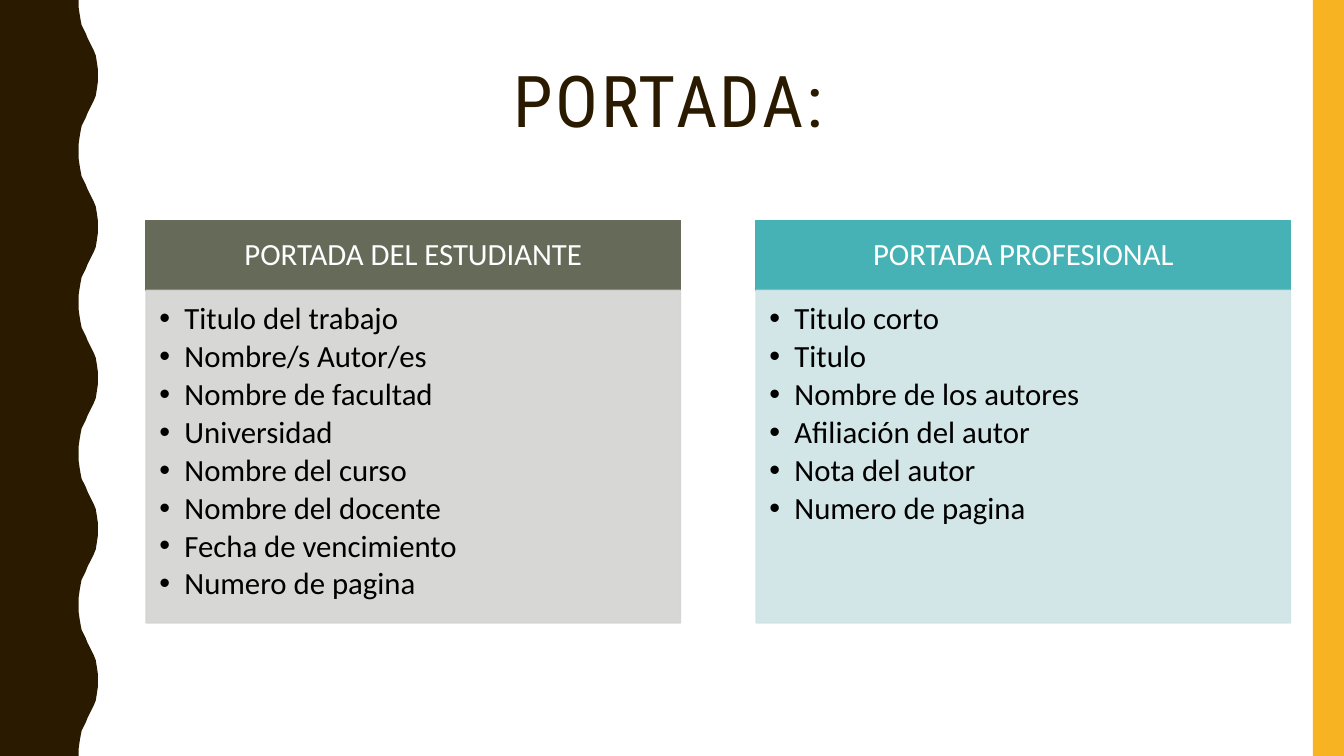
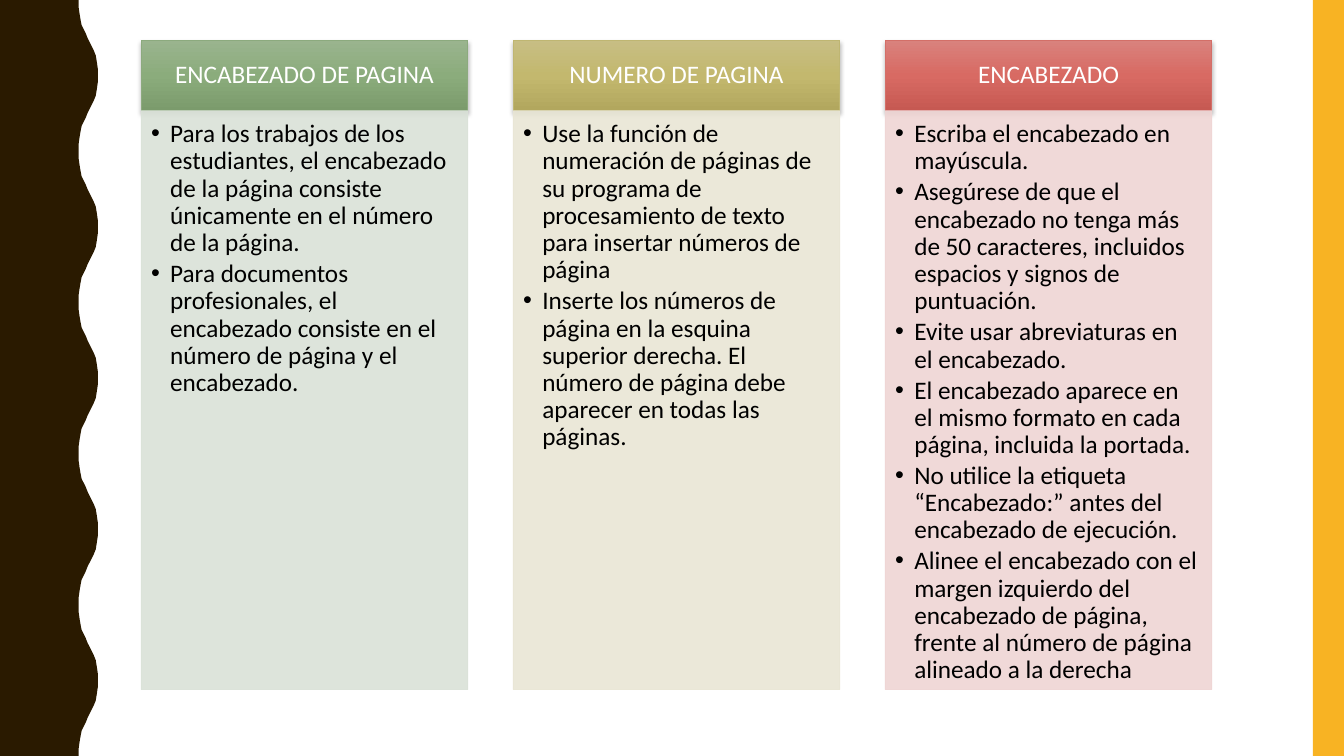
"""Build two slides of headed panels that explain cover pages and page headers."""
import copy
import dataclasses

import pptx
import pptx.dml.color
import pptx.enum.shapes
import pptx.enum.text
import pptx.oxml.ns
import pptx.util
from lxml import etree

Inches = pptx.util.Inches
Pt = pptx.util.Pt
RGBColor = pptx.dml.color.RGBColor
PP_ALIGN = pptx.enum.text.PP_ALIGN
MSO_ANCHOR = pptx.enum.text.MSO_ANCHOR
qn = pptx.oxml.ns.qn

BROWN = RGBColor(0x2A, 0x1A, 0x00)
AMBER = RGBColor(0xF8, 0xB3, 0x23)
WHITE = RGBColor(0xFF, 0xFF, 0xFF)
BLACK = RGBColor(0x00, 0x00, 0x00)
OLIVE = RGBColor(0x65, 0x6A, 0x59)
PALE_GREY = RGBColor(0xD3, 0xD4, 0xD1)
TEAL = RGBColor(0x46, 0xB2, 0xB5)
PALE_TEAL = RGBColor(0xCF, 0xE4, 0xE5)
GREEN = RGBColor(0x8C, 0xAA, 0x7E)
GREEN_STOPS = (RGBColor(0x9A, 0xB4, 0x8E), RGBColor(0x8B, 0xAC, 0x7C), RGBColor(0x7B, 0x9B, 0x6C))
PALE_GREEN = RGBColor(0xDA, 0xE2, 0xD8)
GOLD = RGBColor(0xBF, 0xB6, 0x72)
GOLD_STOPS = (RGBColor(0xC7, 0xBE, 0x84), RGBColor(0xC3, 0xB8, 0x6E), RGBColor(0xB2, 0xA7, 0x5E))
PALE_GOLD = RGBColor(0xE9, 0xE6, 0xD5)
RED = RGBColor(0xD3, 0x6F, 0x68)
RED_STOPS = (RGBColor(0xD9, 0x82, 0x7D), RGBColor(0xD8, 0x6A, 0x63), RGBColor(0xC6, 0x59, 0x52))
PALE_RED = RGBColor(0xEF, 0xD5, 0xD4)

TITLE_FONT = "Roboto Condensed"
BODY_FONT = "Calibri"
SLIDE_WIDTH, SLIDE_HEIGHT = 13.33, 7.5
STRIPE_WIDTH = 0.31
WAVE_PERIOD = 1.5
HALF_WAVE = [
    (0.78, 0), (0.78, 0.07), (0.79, 0.14), (0.8, 0.2), (0.81, 0.25), (0.83, 0.29),
    (0.85, 0.33), (0.87, 0.38), (0.89, 0.42), (0.91, 0.46), (0.93, 0.5),
    (0.95, 0.55), (0.96, 0.61), (0.97, 0.68), (0.97, 0.75),
]


@dataclasses.dataclass
class PanelLayout:
    """Measures shared by the panels of one slide, in inches and points."""
    left: float
    top: float
    width: float
    step: float
    header_height: float
    body_height: float
    size: int
    indent: float
    header_insets: tuple
    body_insets: tuple
    line_width: float


@dataclasses.dataclass
class Panel:
    """Heading, bullet items and colours of one panel."""
    heading: str
    items: list
    color: RGBColor
    body_color: RGBColor
    stops: tuple = ()


COVER_LAYOUT = PanelLayout(1.45, 2.19, 5.3, 6.05, 0.69, 3.3, 22, 0.25,
                           (0.17, 0.1, 0.17, 0.1), (0.13, 0.13, 0.17, 0.19), 1)
COVER_PANELS = [
    Panel("PORTADA DEL ESTUDIANTE", [
        "Titulo del trabajo", "Nombre/s Autor/es", "Nombre de facultad", "Universidad",
        "Nombre del curso", "Nombre del docente", "Fecha de vencimiento", "Numero de pagina",
    ], OLIVE, PALE_GREY),
    Panel("PORTADA PROFESIONAL", [
        "Titulo corto", "Titulo", "Nombre de los autores", "Afiliación del autor",
        "Nota del autor", "Numero de pagina",
    ], TEAL, PALE_TEAL),
]

HEADER_LAYOUT = PanelLayout(1.4, 0.4, 3.24, 3.69, 0.7, 5.74, 18, 0.19,
                            (0.14, 0.08, 0.14, 0.08), (0.1, 0.1, 0.14, 0.16), 0.5)
HEADER_PANELS = [
    Panel("ENCABEZADO DE PAGINA", [
        "Para los trabajos de los estudiantes, el encabezado de la página consiste "
        "únicamente en el número de la página.",
        "Para documentos profesionales, el encabezado consiste en el número de página "
        "y el encabezado.",
    ], GREEN, PALE_GREEN, GREEN_STOPS),
    Panel("NUMERO DE PAGINA", [
        "Use la función de numeración de páginas de su programa de procesamiento de texto "
        "para insertar números de página",
        "Inserte los números de página en la esquina superior derecha. El número de página "
        "debe aparecer en todas las páginas.",
    ], GOLD, PALE_GOLD, GOLD_STOPS),
    Panel("ENCABEZADO", [
        "Escriba el encabezado en mayúscula.",
        "Asegúrese de que el encabezado no tenga más de 50 caracteres, incluidos espacios "
        "y signos de puntuación.",
        "Evite usar abreviaturas en el encabezado.",
        "El encabezado aparece en el mismo formato en cada página, incluida la portada.",
        "No utilice la etiqueta “Encabezado:” antes del encabezado de ejecución.",
        "Alinee el encabezado con el margen izquierdo del encabezado de página, frente al "
        "número de página alineado a la derecha",
    ], RED, PALE_RED, RED_STOPS),
]


def add_element(parent, tag, **attributes):
    """Append a DrawingML element with the given attributes."""
    return etree.SubElement(parent, qn(tag), {key: str(value) for key, value in attributes.items()})


def paint(shape, color, line_width=0):
    """Give a shape a flat fill, an optional line and no shadow."""
    shape.shadow.inherit = False
    shape.fill.solid()
    shape.fill.fore_color.rgb = color
    if line_width:
        shape.line.color.rgb = color
        shape.line.width = Pt(line_width)
    else:
        shape.line.fill.background()


def add_rectangle(page, left, top, width, height, color, line_width=0):
    """Add a painted rectangle."""
    box = page.shapes.add_shape(pptx.enum.shapes.MSO_SHAPE.RECTANGLE, Inches(left), Inches(top),
                                Inches(width), Inches(height))
    paint(box, color, line_width)
    return box


def make_translucent(box, percent):
    """Set the opacity of the fill and line."""
    for color in box._element.spPr.iter(qn("a:srgbClr")):
        add_element(color, "a:alpha", val=percent * 1000)


def add_gradient(box, colors):
    """Fill a box from top to bottom with three evenly spaced colours."""
    box.fill.gradient()
    box.fill.gradient_angle = 270
    first = box._element.spPr.find(".//" + qn("a:gs"))
    middle = copy.deepcopy(first)
    middle.set("pos", "50000")
    first.addnext(middle)
    for stop, color in zip(box.fill.gradient_stops, colors):
        stop.color.rgb = color


def add_shadow(box):
    """Drop a soft shadow below a box."""
    effects = box._element.spPr.find(qn("a:effectLst"))
    shadow = add_element(effects, "a:outerShdw", blurRad=Pt(3), dist=Pt(2), dir=5400000,
                         algn="ctr", rotWithShape=0)
    color = add_element(shadow, "a:srgbClr", val=BLACK)
    add_element(color, "a:alpha", val=25000)


def set_frame(box, insets, anchor):
    """Set wrapping, insets and anchor, and return the text frame."""
    frame = box.text_frame
    frame.word_wrap = True
    frame.vertical_anchor = anchor
    frame.margin_left, frame.margin_top, frame.margin_right, frame.margin_bottom = map(Inches, insets)
    return frame


def write(para, text, font, size, color, align=PP_ALIGN.CENTER):
    """Write one run into a paragraph."""
    para.alignment = align
    para.line_spacing = 0.9
    span = para.add_run()
    span.text = text
    span.font.name = font
    span.font.size = Pt(size)
    span.font.color.rgb = color
    return span


def add_bullet(para, indent):
    """Give a paragraph a hanging bullet."""
    properties = para._p.get_or_add_pPr()
    properties.set("marL", str(Inches(indent)))
    properties.set("indent", str(-Inches(indent)))
    add_element(properties, "a:buFont", typeface="Arial")
    add_element(properties, "a:buChar", char="•")


def add_panel(page, layout, index, panel):
    """Add a header box with a body of bullets under it."""
    left = layout.left + index * layout.step
    header = add_rectangle(page, left, layout.top, layout.width, layout.header_height,
                           panel.color, layout.line_width)
    body = add_rectangle(page, left, layout.top + layout.header_height, layout.width,
                         layout.body_height, panel.body_color, layout.line_width)
    make_translucent(body, 90)
    if panel.stops:
        add_gradient(header, panel.stops)
        add_shadow(header)

    frame = set_frame(header, layout.header_insets, MSO_ANCHOR.MIDDLE)
    write(frame.paragraphs[0], panel.heading, BODY_FONT, layout.size, WHITE)

    frame = set_frame(body, layout.body_insets, MSO_ANCHOR.TOP)
    for number, item in enumerate(panel.items):
        para = frame.add_paragraph() if number else frame.paragraphs[0]
        write(para, item, BODY_FONT, layout.size, BLACK, PP_ALIGN.LEFT)
        para.space_after = Pt(0.15 * layout.size)
        add_bullet(para, layout.indent)


def add_wave(page):
    """Add the brown band with a wavy right edge."""
    period = HALF_WAVE + [(x, WAVE_PERIOD - y) for x, y in HALF_WAVE[-2:0:-1]]
    count = round(SLIDE_HEIGHT / WAVE_PERIOD)
    edge = [(x, y + turn * WAVE_PERIOD) for turn in range(count) for x, y in period]
    edge += [(HALF_WAVE[0][0], SLIDE_HEIGHT), (0, SLIDE_HEIGHT)]
    builder = page.shapes.build_freeform(0, 0)
    builder.add_line_segments([(Inches(x), Inches(y)) for x, y in edge], close=True)
    paint(builder.convert_to_shape(), BROWN)


def add_page(deck):
    """Add a blank page with the wavy band and the amber stripe."""
    page = deck.slides.add_slide(deck.slide_layouts[6])
    add_wave(page)
    add_rectangle(page, SLIDE_WIDTH - STRIPE_WIDTH, 0, STRIPE_WIDTH, SLIDE_HEIGHT, AMBER)
    return page


def add_title(page, text):
    """Add the spaced-out page title."""
    box = page.shapes.add_textbox(Inches(2.82), Inches(0.54), Inches(7.62), Inches(1))
    frame = set_frame(box, (0.1, 0.05, 0.1, 0.05), MSO_ANCHOR.MIDDLE)
    span = write(frame.paragraphs[0], text, TITLE_FONT, 51, BROWN)
    span._r.get_or_add_rPr().set("spc", "200")


def main():
    """Build and save the deck."""
    deck = pptx.Presentation()
    deck.slide_width = Inches(SLIDE_WIDTH)
    deck.slide_height = Inches(SLIDE_HEIGHT)
    for title, layout, panels in [("PORTADA:", COVER_LAYOUT, COVER_PANELS),
                                  ("", HEADER_LAYOUT, HEADER_PANELS)]:
        page = add_page(deck)
        if title:
            add_title(page, title)
        for index, panel in enumerate(panels):
            add_panel(page, layout, index, panel)
    deck.save("out.pptx")


if __name__ == "__main__":
    main()
